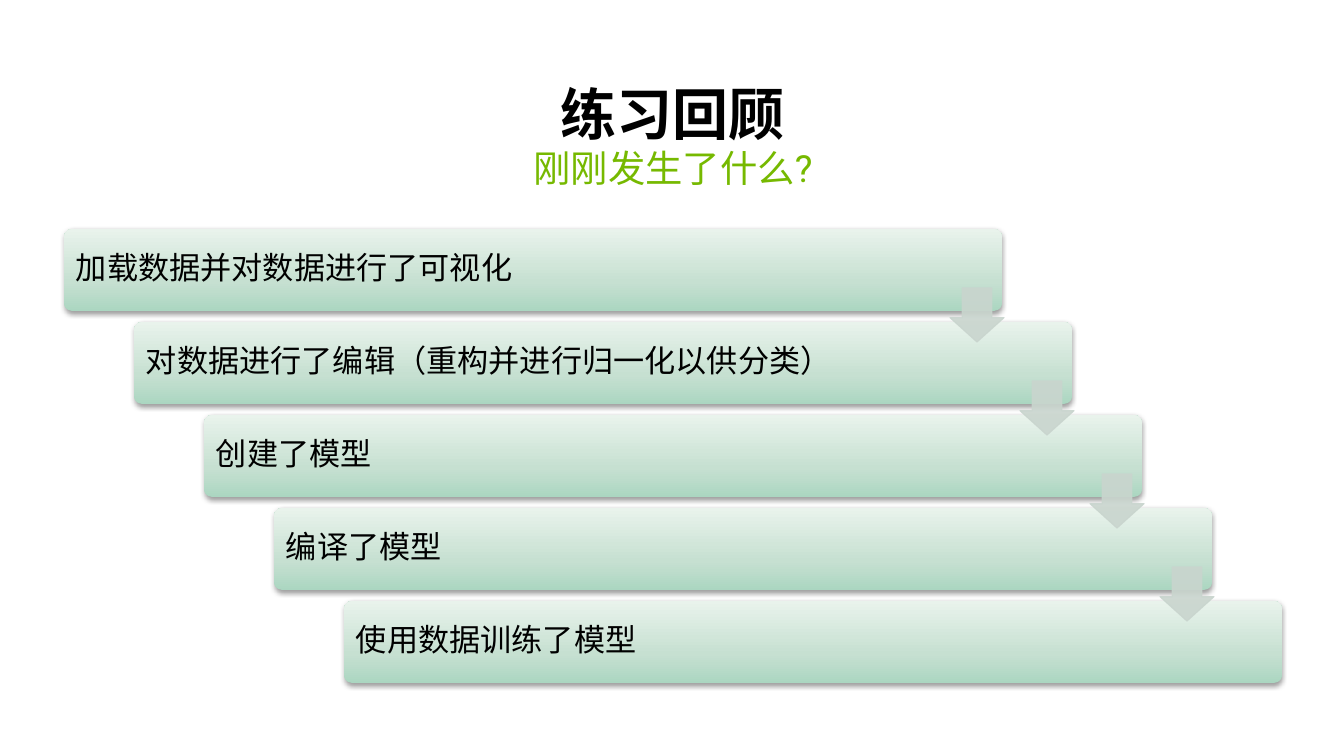
"""Build a review slide with a staircase of five exercise steps."""
from copy import deepcopy
from typing import NamedTuple

from pptx import Presentation
from pptx.dml.color import RGBColor
from pptx.enum.shapes import MSO_SHAPE as Shape
from pptx.enum.text import MSO_ANCHOR as Anchor, MSO_AUTO_SIZE as AutoSize, PP_ALIGN as Align
from pptx.oxml.ns import qn
from pptx.oxml.xmlchemy import OxmlElement
from pptx.util import Emu, Pt

PX_PER_INCH = 112
FONT = "Roboto"
BLACK = RGBColor(0x00, 0x00, 0x00)
GREEN = RGBColor(0x76, 0xB9, 0x00)
ARROW_GREY = RGBColor(0xC9, 0xD5, 0xCE)
BAR_STOPS = (
    (0.0, RGBColor(0xAB, 0xD6, 0xC1)),
    (0.35, RGBColor(0xC6, 0xE0, 0xD1)),
    (1.0, RGBColor(0xE9, 0xF3, 0xEC)),
)
STEPS = (
    "加载数据并对数据进行了可视化",
    "对数据进行了编辑（重构并进行归一化以供分类）",
    "创建了模型",
    "编译了模型",
    "使用数据训练了模型",
)
STEP_RIGHT, STEP_DOWN = 70, 93


class Box(NamedTuple):
    left: int
    top: int
    width: int
    height: int

    def moved(self, count: int) -> "Box":
        """Return this box shifted along the staircase."""
        return self._replace(left=self.left + count * STEP_RIGHT, top=self.top + count * STEP_DOWN)

    def emu(self) -> list[Emu]:
        """Return the four lengths in EMU."""
        return [px(value) for value in self]


class TextStyle(NamedTuple):
    size: int
    color: RGBColor
    bold: bool = False
    align: Align = Align.CENTER
    anchor: Anchor = Anchor.TOP
    inset_x: int = 11
    inset_y: int = 6


TITLE_BOX = Box(62, 81, 1222, 73)
SUBTITLE_BOX = Box(62, 144, 1222, 64)
BAR = Box(64, 229, 938, 82)
LABEL = Box(67, 231, 810, 77)
FIRST_LABEL_WIDTH = 840
ARROW = Box(950, 288, 54, 54)
TITLE = TextStyle(36, BLACK, bold=True, anchor=Anchor.BOTTOM)
SUBTITLE = TextStyle(24, GREEN)
STEP = TextStyle(20, BLACK, align=Align.LEFT, anchor=Anchor.MIDDLE, inset_x=9, inset_y=9)


def px(value: int) -> Emu:
    """Convert pixels to EMU."""
    return Emu(round(value * 914400 / PX_PER_INCH))


def write(shape, text: str, style: TextStyle) -> None:
    """Write one styled paragraph into a shape."""
    frame = shape.text_frame
    frame.word_wrap = True
    frame.auto_size = AutoSize.NONE
    frame.vertical_anchor = style.anchor
    frame.margin_left = frame.margin_right = px(style.inset_x)
    frame.margin_top = frame.margin_bottom = px(style.inset_y)
    para = frame.paragraphs[0]
    para.alignment = style.align
    para.line_spacing = 0.9
    para.space_before = Pt(0)
    span = para.add_run()
    span.text = text
    span.font.name = FONT
    span.font.size = Pt(style.size)
    span.font.bold = style.bold
    span.font.color.rgb = style.color


def fill_placeholder(shape, box: Box, text: str, style: TextStyle) -> None:
    """Move a placeholder and write plain unbulleted text into it."""
    shape.left, shape.top, shape.width, shape.height = box.emu()
    properties = shape.text_frame.paragraphs[0]._p.get_or_add_pPr()
    properties.set("marL", "0")
    properties.set("indent", "0")
    properties.append(OxmlElement("a:buNone"))
    write(shape, text, style)


def add_alpha(color_element, percent: int) -> None:
    """Set the opacity of a colour element."""
    alpha = OxmlElement("a:alpha")
    alpha.set("val", str(percent * 1000))
    color_element.append(alpha)


def add_shadow(shape) -> None:
    """Give a shape a soft shadow below it."""
    shape.shadow.inherit = False
    shadow = OxmlElement("a:outerShdw")
    for name, value in (("blurRad", Pt(3.1)), ("dist", Pt(1.6)), ("dir", 90 * 60000), ("rotWithShape", 0)):
        shadow.set(name, str(int(value)))
    color = OxmlElement("a:srgbClr")
    color.set("val", str(BLACK))
    add_alpha(color, 38)
    shadow.append(color)
    shape._element.spPr.find(qn("a:effectLst")).append(shadow)


def add_bar(page, box: Box) -> None:
    """Draw a rounded bar with a vertical gradient."""
    bar = page.shapes.add_shape(Shape.ROUNDED_RECTANGLE, *box.emu())
    bar.adjustments[0] = 0.1
    bar.line.fill.background()
    bar.fill.gradient()
    bar.fill.gradient_angle = 90
    stop_list = next(bar._element.spPr.iter(qn("a:gsLst")))
    stop_list.append(deepcopy(stop_list[0]))
    for stop, (position, color) in zip(bar.fill.gradient_stops, BAR_STOPS):
        stop.position = position
        stop.color.rgb = color
    add_shadow(bar)


def add_arrow(page, box: Box) -> None:
    """Draw a translucent arrow to the next step."""
    arrow = page.shapes.add_shape(Shape.DOWN_ARROW, *box.emu())
    arrow.adjustments[0] = 0.55
    arrow.adjustments[1] = 0.45
    arrow.shadow.inherit = False
    arrow.fill.solid()
    arrow.fill.fore_color.rgb = ARROW_GREY
    arrow.line.color.rgb = ARROW_GREY
    arrow.line.width = Pt(0.75)
    for color in list(arrow._element.spPr.iter(qn("a:srgbClr"))):
        add_alpha(color, 90)


def main() -> None:
    """Build and save the deck."""
    deck = Presentation()
    deck.slide_width, deck.slide_height = px(1344), px(756)
    page = deck.slides.add_slide(deck.slide_layouts[1])
    fill_placeholder(page.shapes.title, TITLE_BOX, "练习回顾", TITLE)
    fill_placeholder(page.placeholders[1], SUBTITLE_BOX, "刚刚发生了什么?", SUBTITLE)
    for index, text in enumerate(STEPS):
        add_bar(page, BAR.moved(index))
        label = LABEL.moved(index)
        if index == 0:
            label = label._replace(width=FIRST_LABEL_WIDTH)
        write(page.shapes.add_textbox(*label.emu()), text, STEP)
    for index in range(len(STEPS) - 1):
        add_arrow(page, ARROW.moved(index))
    deck.save("out.pptx")


if __name__ == "__main__":
    main()
